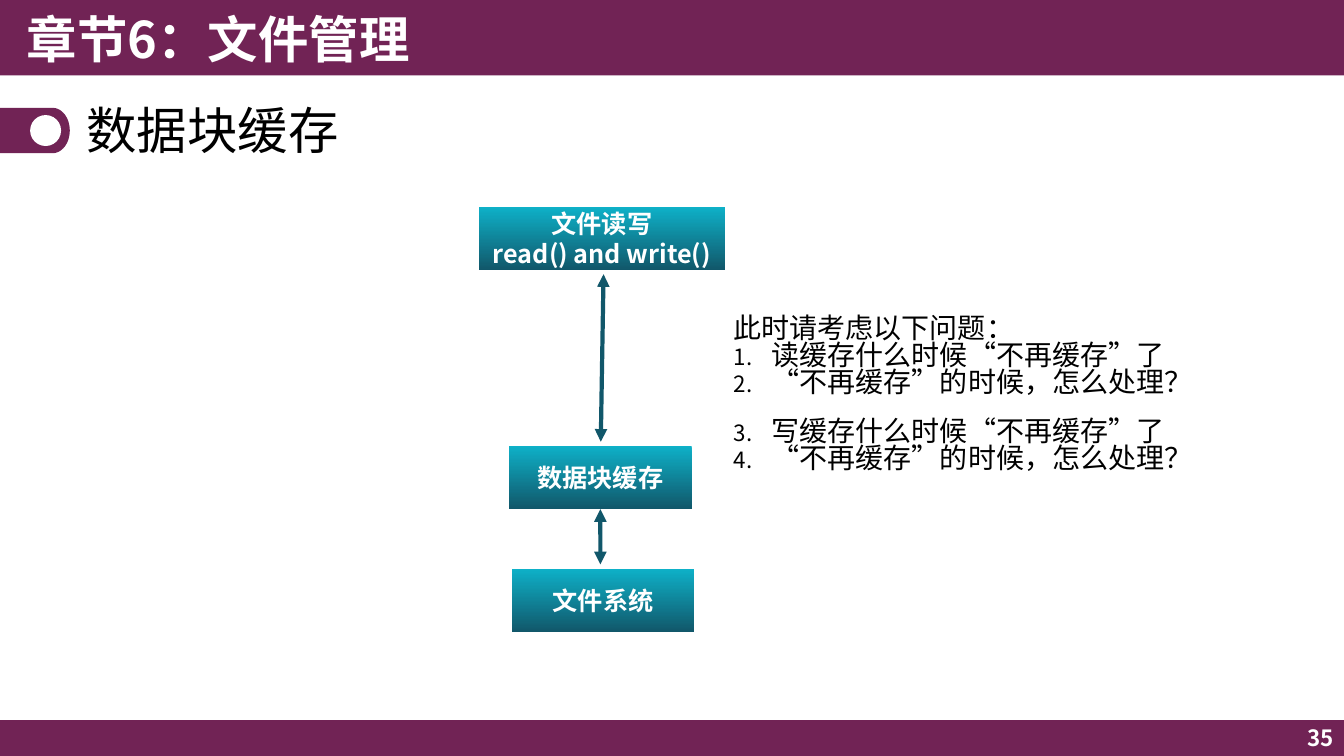
import math
from dataclasses import dataclass

import lxml.etree
import pptx
import pptx.dml.color
import pptx.enum.dml
import pptx.enum.shapes
import pptx.enum.text
import pptx.oxml.ns
import pptx.util

Cm = pptx.util.Cm
Pt = pptx.util.Pt
RGBColor = pptx.dml.color.RGBColor
SHAPE = pptx.enum.shapes.MSO_SHAPE
ALIGN = pptx.enum.text.PP_ALIGN
ANCHOR = pptx.enum.text.MSO_ANCHOR
qn = pptx.oxml.ns.qn

PURPLE = RGBColor(0x71, 0x23, 0x55)
TEAL = RGBColor(0x0E, 0xB1, 0xC8)
DARK_TEAL = RGBColor(0x11, 0x57, 0x6A)
WHITE = RGBColor(0xFF, 0xFF, 0xFF)
BLACK = RGBColor(0x00, 0x00, 0x00)
FONT = "Noto Sans CJK SC"
WIDTH, HEIGHT = 33.87, 19.05
LAYER_HEIGHT = 1.6


@dataclass
class Label:
    text: str
    left: float
    top: float
    width: float
    height: float
    size: int
    color: RGBColor
    bold: bool = False
    align: ALIGN = ALIGN.LEFT
    line_spacing: float = 1.0


@dataclass
class Layer:
    lines: list[str]
    left: float
    top: float
    width: float


@dataclass
class QuestionList:
    top: float
    height: float
    intro: str
    start: int
    questions: list[str]


LABELS = [
    Label("章节6：文件管理", 0.43, 0, 16.94, 1.95, 36, WHITE, True),
    Label("数据块缓存", 1.93, 2.42, 30, 1.88, 36, BLACK, line_spacing=0.9),
    Label("35", 26.24, 18.13, 7.62, 0.92, 16, WHITE, True, ALIGN.RIGHT),
]
LAYERS = [
    Layer(["文件读写", "read() and write()"], 12.07, 5.21, 6.2),
    Layer(["数据块缓存"], 12.83, 11.23, 4.6),
    Layer(["文件系统"], 12.9, 14.33, 4.6),
]
QUESTION_LISTS = [
    QuestionList(7.87, 2.65, "此时请考虑以下问题：", 1,
                 ["读缓存什么时候“不再缓存”了", "“不再缓存”的时候，怎么处理？"]),
    QuestionList(10.46, 1.8, "", 3,
                 ["写缓存什么时候“不再缓存”了", "“不再缓存”的时候，怎么处理？"]),
]


def add_run(p, text: str, size: int, color: RGBColor, bold: bool = False) -> None:
    r = p.add_run()
    r.text = text
    r.font.size = Pt(size)
    r.font.bold = bold
    r.font.color.rgb = color
    r.font.name = FONT
    ea = lxml.etree.SubElement(r.font._element, qn("a:ea"))
    ea.set("typeface", FONT)


def paint(sp, color: RGBColor) -> None:
    sp.shadow.inherit = False
    sp.fill.solid()
    sp.fill.fore_color.rgb = color
    sp.line.fill.background()


def add_solid(s, kind: SHAPE, left: float, top: float, width: float,
              height: float, color: RGBColor) -> None:
    paint(s.shapes.add_shape(kind, Cm(left), Cm(top), Cm(width), Cm(height)), color)


def add_tab(s) -> None:
    left, middle, rx, ry, steps = 1.33, 3.29, 0.43, 0.57, 32
    angles = [math.pi * (i / steps - 0.5) for i in range(steps + 1)]
    arc = [(Cm(left + rx * math.cos(a)), Cm(middle + ry * math.sin(a))) for a in angles]
    fb = s.shapes.build_freeform(0, Cm(middle - ry), scale=1.0)
    fb.add_line_segments(arc + [(0, Cm(middle + ry))], close=True)
    paint(fb.convert_to_shape(), PURPLE)
    add_solid(s, SHAPE.OVAL, 0.76, 2.9, 0.78, 0.78, WHITE)


def add_label(s, label: Label) -> None:
    sp = s.shapes.add_textbox(Cm(label.left), Cm(label.top), Cm(label.width), Cm(label.height))
    tf = sp.text_frame
    tf.word_wrap = True
    tf.vertical_anchor = ANCHOR.MIDDLE
    p = tf.paragraphs[0]
    p.alignment = label.align
    p.line_spacing = label.line_spacing
    add_run(p, label.text, label.size, label.color, label.bold)


def add_layer(s, layer: Layer):
    sp = s.shapes.add_shape(SHAPE.RECTANGLE, Cm(layer.left), Cm(layer.top),
                            Cm(layer.width), Cm(LAYER_HEIGHT))
    sp.shadow.inherit = False
    sp.line.fill.background()
    sp.fill.gradient()
    sp.fill.gradient_angle = 270
    for stop, position, color in zip(sp.fill.gradient_stops, (0, 1), (TEAL, DARK_TEAL)):
        stop.position = position
        stop.color.rgb = color
    tf = sp.text_frame
    tf.word_wrap = False
    tf.vertical_anchor = ANCHOR.MIDDLE
    for i, line in enumerate(layer.lines):
        p = tf.add_paragraph() if i else tf.paragraphs[0]
        p.alignment = ALIGN.CENTER
        add_run(p, line, 18, WHITE, True)
    return sp


def add_arrow(s, x1: float, y1: float, x2: float, y2: float):
    cxn = s.shapes.add_connector(pptx.enum.shapes.MSO_CONNECTOR.STRAIGHT,
                                 Cm(x1), Cm(y1), Cm(x2), Cm(y2))
    cxn.line.color.rgb = DARK_TEAL
    cxn.line.width = Pt(3)
    ln = cxn.line._get_or_add_ln()
    for end in ("a:headEnd", "a:tailEnd"):
        lxml.etree.SubElement(ln, qn(end)).set("type", "triangle")
    lxml.etree.SubElement(cxn._element.spPr, qn("a:effectLst"))
    return cxn


def number_paragraph(p, start: int) -> None:
    pPr = p._p.get_or_add_pPr()
    pPr.set("marL", str(Cm(0.96)))
    pPr.set("indent", str(-Cm(0.96)))
    lxml.etree.SubElement(pPr, qn("a:buSzPct")).set("val", "80000")
    bu = lxml.etree.SubElement(pPr, qn("a:buAutoNum"))
    bu.set("type", "arabicPeriod")
    bu.set("startAt", str(start))


def add_questions(s, block: QuestionList) -> None:
    sp = s.shapes.add_textbox(Cm(18.24), Cm(block.top), Cm(12.42), Cm(block.height))
    tf = sp.text_frame
    tf.word_wrap = True
    lines = ([block.intro] if block.intro else []) + block.questions
    for i, line in enumerate(lines):
        p = tf.add_paragraph() if i else tf.paragraphs[0]
        p.line_spacing = 0.8
        if line != block.intro:
            number_paragraph(p, block.start)
        add_run(p, line, 20, BLACK)


def main() -> None:
    prs = pptx.Presentation()
    prs.slide_width, prs.slide_height = Cm(WIDTH), Cm(HEIGHT)
    s = prs.slides.add_slide(prs.slide_layouts[6])
    add_solid(s, SHAPE.RECTANGLE, 0, 18.15, WIDTH, 0.9, PURPLE)
    add_solid(s, SHAPE.RECTANGLE, 0, 0, WIDTH, 1.9, PURPLE)
    add_tab(s)
    for label in LABELS:
        add_label(s, label)
    access, cache, file_system = [add_layer(s, layer) for layer in LAYERS]
    add_arrow(s, 15.21, 6.91, 15.14, 11.13)
    add_arrow(s, 15.13, 12.83, 15.13, 14.22).begin_connect(cache, 2)
    for block in QUESTION_LISTS:
        add_questions(s, block)
    prs.save("out.pptx")


if __name__ == "__main__":
    main()
